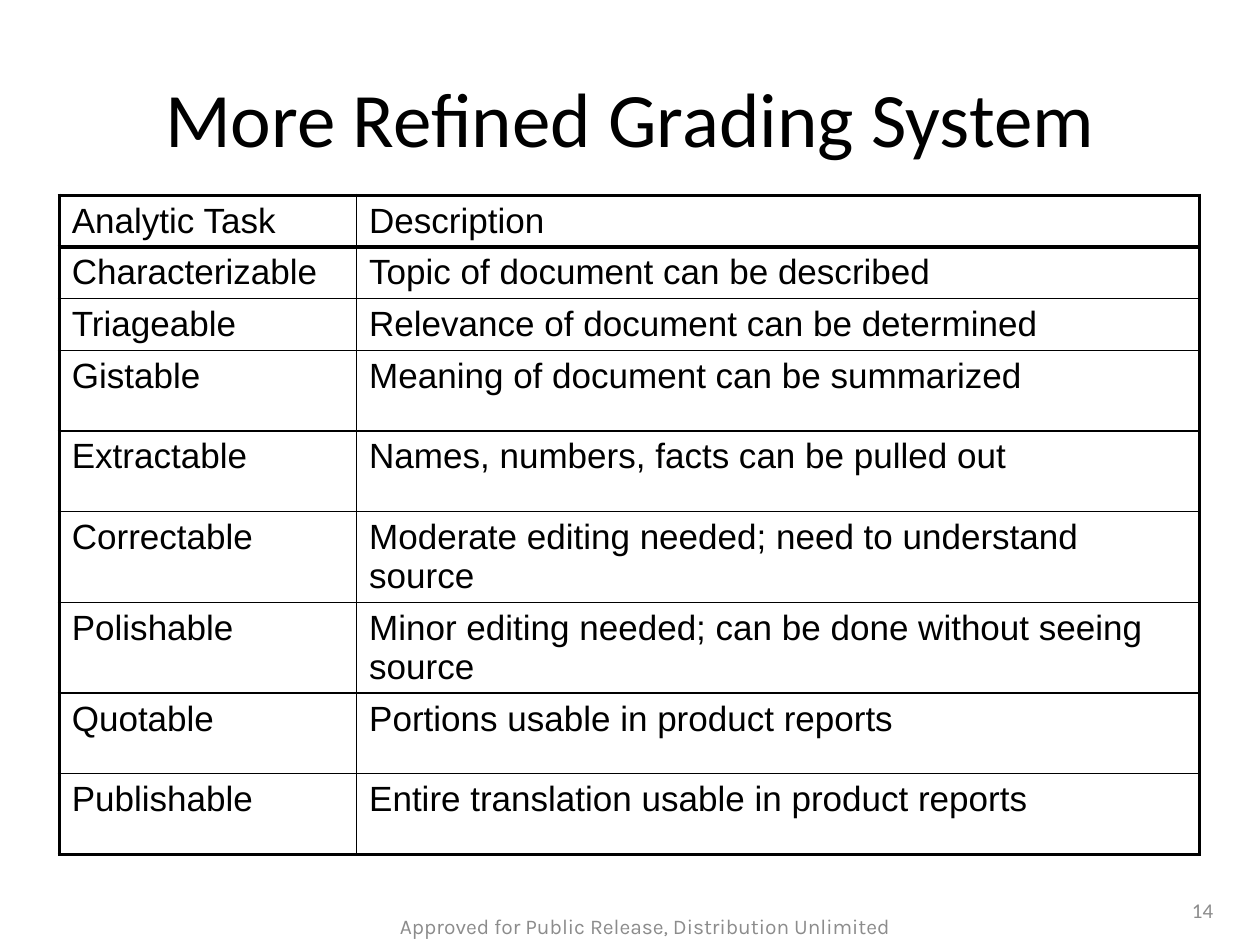
from lxml import etree
from pptx import Presentation
from pptx.dml.color import RGBColor
from pptx.enum import text
from pptx.oxml import ns
from pptx.util import Inches, Pt

BLACK = RGBColor(0x00, 0x00, 0x00)
WHITE = RGBColor(0xFF, 0xFF, 0xFF)
GRAY = RGBColor(0x8C, 0x8C, 0x8C)

CAPTIONS = [
    ("More Refined Grading System", (0.5, 0.3, 9, 1.25),
     {"name": "Calibri", "size": Pt(44)}, BLACK),
    ("14", (9.13, 7.02, 0.83, 0.4),
     {"name": "Calibri", "size": Pt(12)}, GRAY),
    ("Approved for Public Release, Distribution Unlimited", (1.58, 7.15, 7.08, 0.4),
     {"name": "Karla", "size": Pt(12)}, GRAY),
]
GRADES = [
    ("Analytic Task", "Description"),
    ("Characterizable", "Topic of document can be described"),
    ("Triageable", "Relevance of document can be determined"),
    ("Gistable", "Meaning of document can be summarized"),
    ("Extractable", "Names, numbers, facts can be pulled out"),
    ("Correctable", "Moderate editing needed; need to understand source"),
    ("Polishable", "Minor editing needed; can be done without seeing source"),
    ("Quotable", "Portions usable in product reports"),
    ("Publishable", "Entire translation usable in product reports"),
]
GRID_LEFT, GRID_TOP = 0.47, 1.55
COLUMN_WIDTHS = [2.36, 6.69]
SHORT_ROWS, SHORT_HEIGHT, TALL_HEIGHT = 3, 0.41, 0.64
CELL_FONT = {"name": "Arial", "size": Pt(20), "bold": False}
THICK, THIN = Pt(2.25), Pt(1)


def style_font(font, formats, color):
    for key, value in formats.items():
        setattr(font, key, value)
    font.color.rgb = color


def add_caption(slide, wording, place, formats, color):
    frame = slide.shapes.add_textbox(*map(Inches, place)).text_frame
    frame.word_wrap = True
    frame.vertical_anchor = text.MSO_ANCHOR.MIDDLE
    paragraph = frame.paragraphs[0]
    paragraph.alignment = text.PP_ALIGN.CENTER
    run = paragraph.add_run()
    run.text = wording
    style_font(run.font, formats, color)


def draw_borders(cell, widths):
    properties = cell._tc.get_or_add_tcPr()
    for side, width in widths.items():
        line = etree.SubElement(properties, ns.qn(f"a:ln{side}"), w=str(width))
        fill = etree.SubElement(line, ns.qn("a:solidFill"))
        etree.SubElement(fill, ns.qn("a:srgbClr"), val=str(BLACK))


def add_grades(slide):
    heights = [SHORT_HEIGHT if row < SHORT_ROWS else TALL_HEIGHT
               for row in range(len(GRADES))]
    grid = slide.shapes.add_table(
        len(GRADES), len(COLUMN_WIDTHS), Inches(GRID_LEFT), Inches(GRID_TOP),
        Inches(sum(COLUMN_WIDTHS)), Inches(sum(heights))).table
    grid.first_row = grid.horz_banding = False
    for column, width in zip(grid.columns, COLUMN_WIDTHS):
        column.width = Inches(width)
    last_row, last_column = len(GRADES) - 1, len(COLUMN_WIDTHS) - 1
    for r, (grade, height) in enumerate(zip(GRADES, heights)):
        grid.rows[r].height = Inches(height)
        for c, wording in enumerate(grade):
            cell = grid.cell(r, c)
            draw_borders(cell, {
                "L": THICK if c == 0 else THIN,
                "R": THICK if c == last_column else THIN,
                "T": THICK if r <= 1 else THIN,
                "B": THICK if r in (0, last_row) else THIN,
            })
            cell.fill.solid()
            cell.fill.fore_color.rgb = WHITE
            run = cell.text_frame.paragraphs[0].add_run()
            run.text = wording
            style_font(run.font, CELL_FONT, BLACK)


def main():
    deck = Presentation()
    deck.slide_width, deck.slide_height = Inches(10), Inches(7.5)
    slide = deck.slides.add_slide(deck.slide_layouts[6])
    add_grades(slide)
    for caption in CAPTIONS:
        add_caption(slide, *caption)
    deck.save("out.pptx")


if __name__ == "__main__":
    main()
